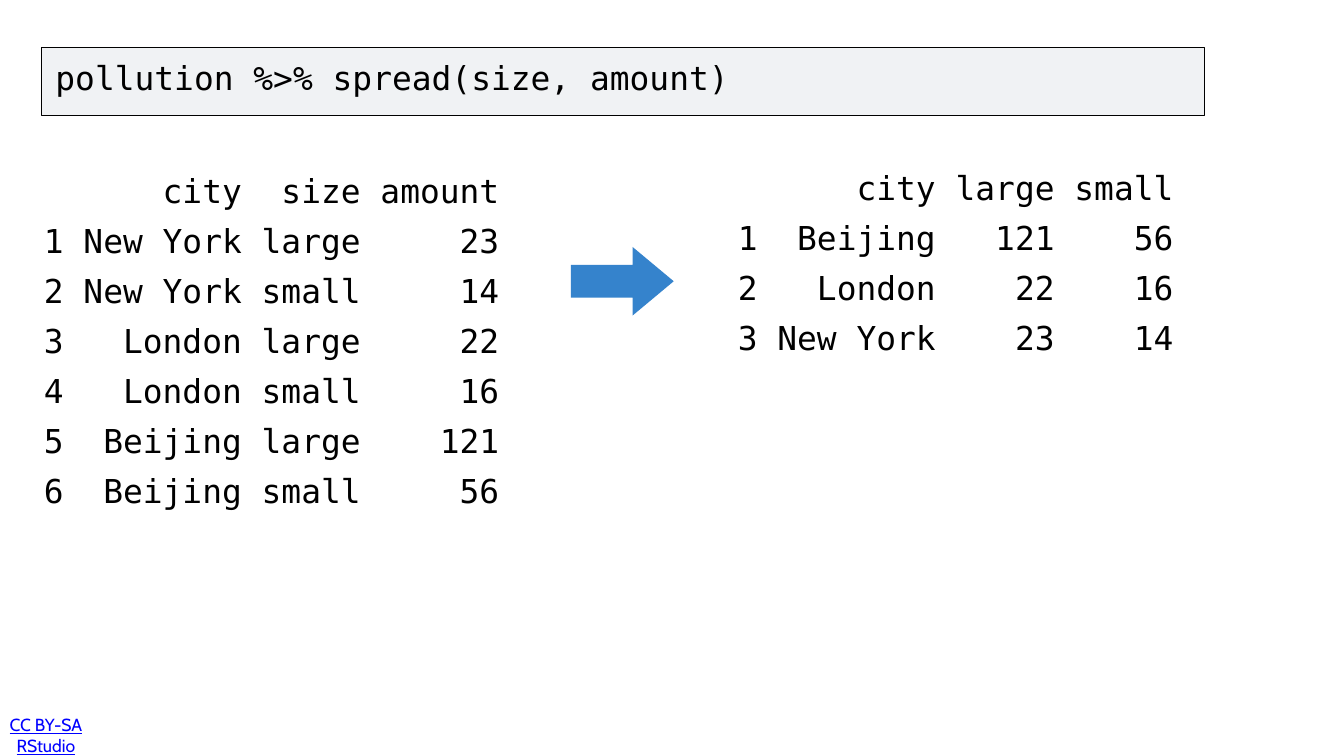
import pptx
import pptx.dml.color
import pptx.enum.shapes
import pptx.enum.text
import pptx.oxml
import pptx.oxml.ns
import pptx.util

COLORS = {"text": "000000", "code": "F0F2F4", "arrow": "0365C0", "license": "0000FF"}
MONO = "DejaVu Sans Mono"

presentation = pptx.Presentation()
presentation.slide_width = pptx.util.Inches(26.67)
presentation.slide_height = pptx.util.Inches(15)
slide = presentation.slides.add_slide(presentation.slide_layouts[6])

# Grid of 100 columns by 100 rows
column = presentation.slide_width / 100
row = presentation.slide_height / 100


def place(left, top, width, height):
    return [int(left * column), int(top * row), int(width * column), int(height * row)]


def add_text(box, lines, font_name, size, color, inset=0.06, space=0):
    text_box = slide.shapes.add_textbox(*place(*box))
    frame = text_box.text_frame
    frame.word_wrap = True
    frame.margin_left = frame.margin_right = pptx.util.Inches(inset)
    frame.margin_top = frame.margin_bottom = pptx.util.Inches(inset)
    for index, line in enumerate(lines):
        paragraph = frame.add_paragraph() if index else frame.paragraphs[0]
        if index:
            paragraph.space_before = pptx.util.Pt(space)
        run = paragraph.add_run()
        run.text = line
        run.font.name = font_name
        run.font.size = pptx.util.Pt(size)
        run.font.color.rgb = pptx.dml.color.RGBColor.from_string(COLORS[color])
    return frame


# License line
license_frame = add_text((0.04, 94.5, 6.75, 5.4), ["CC BY-SA RStudio"],
                         "Cabin", 25, "license", inset=0.08)
license_frame.vertical_anchor = pptx.enum.text.MSO_ANCHOR.MIDDLE
license_frame.paragraphs[0].alignment = pptx.enum.text.PP_ALIGN.CENTER
license_frame.paragraphs[0].runs[0].font.underline = True

# Code panel
panel = slide.shapes.add_shape(pptx.enum.shapes.MSO_SHAPE.RECTANGLE,
                               *place(3.07, 6.27, 86.54, 9))
panel.shadow.inherit = False
panel.fill.solid()
panel.fill.fore_color.rgb = pptx.dml.color.RGBColor.from_string(COLORS["code"])
panel.line.color.rgb = pptx.dml.color.RGBColor.from_string(COLORS["text"])
panel.line.width = pptx.util.Pt(1)
add_text((3.9, 7.27, 71.95, 6.93), ["pollution %>% spread(size, amount)"], MONO, 47, "text")

# Console output before and after spreading
long_rows = [("New York", "large", 23), ("New York", "small", 14),
             ("London", "large", 22), ("London", "small", 16),
             ("Beijing", "large", 121), ("Beijing", "small", 56)]
wide_rows = [("Beijing", 121, 56), ("London", 22, 16), ("New York", 23, 14)]
outputs = [
    ((3.04, 22.13, 41.54, 57.13), ("city", "size", "amount"), long_rows),
    ((54.67, 21.73, 34.65, 30.87), ("city", "large", "small"), wide_rows),
]
for box, header, records in outputs:
    last_width = len(header[2])
    lines = [f"{number or ' '} {city:>8} {middle:>5} {last:>{last_width}}"
             for number, (city, middle, last) in enumerate([header] + records)]
    add_text(box, lines, MONO, 47, "text", space=15)

# Arrow from long to wide form
arrow = slide.shapes.add_shape(pptx.enum.shapes.MSO_SHAPE.RIGHT_ARROW,
                               *place(42.48, 32.67, 7.65, 9.07))
arrow.adjustments[0] = 0.48
arrow.adjustments[1] = 0.6
arrow.shadow.inherit = False
arrow.fill.solid()
arrow.fill.fore_color.rgb = pptx.dml.color.RGBColor.from_string(COLORS["arrow"])
arrow.line.fill.background()
arrow_color = arrow.fill._xPr.find(".//" + pptx.oxml.ns.qn("a:srgbClr"))
arrow_color.append(pptx.oxml.parse_xml(
    f'<a:alpha {pptx.oxml.ns.nsdecls("a")} val="80000"/>'))

presentation.save("out.pptx")
